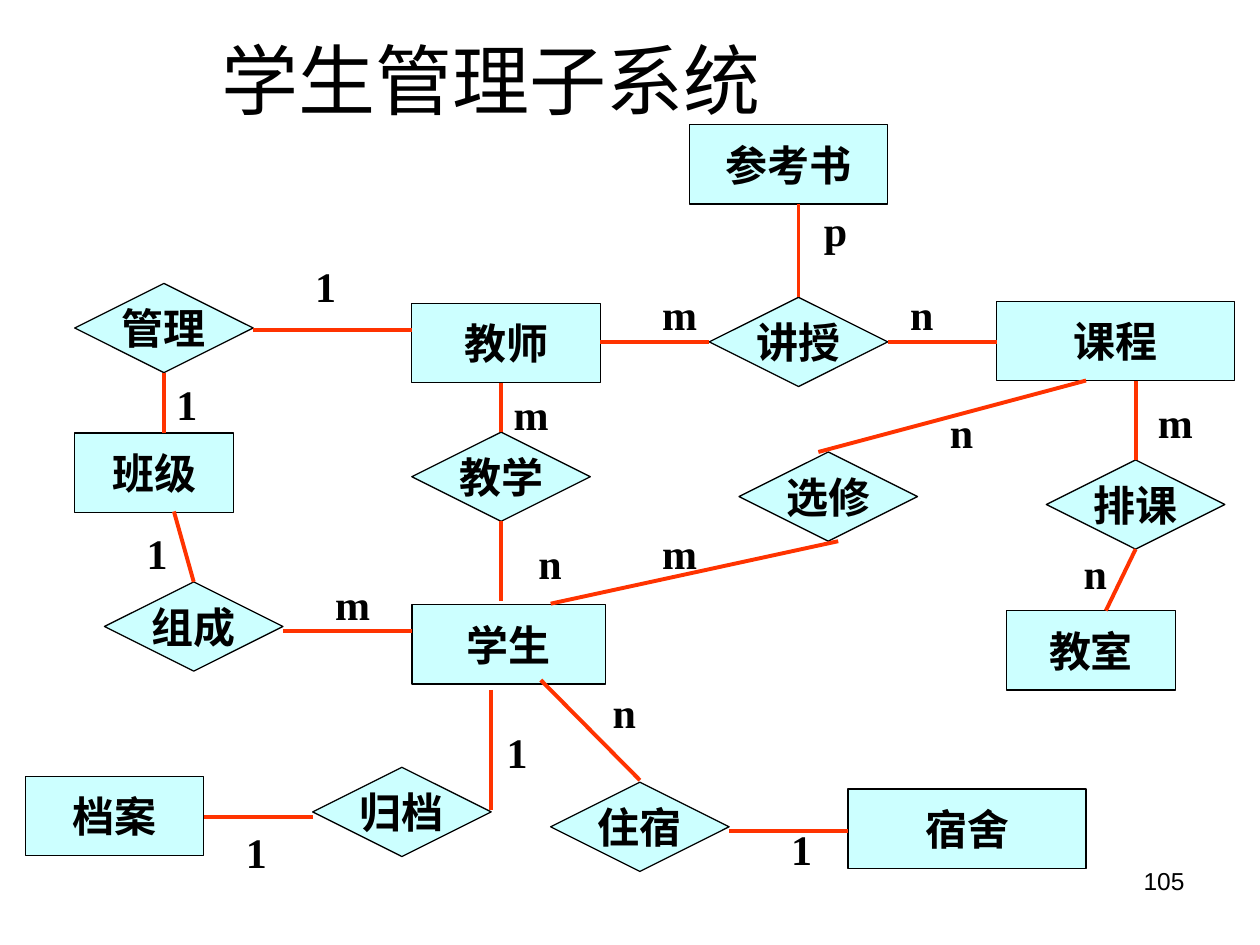
import pptx
import pptx.util
from pptx.dml.color import RGBColor
from pptx.enum.shapes import MSO_CONNECTOR, MSO_SHAPE
from pptx.enum.text import MSO_ANCHOR, MSO_AUTO_SIZE, PP_ALIGN
from pptx.oxml.ns import qn
from lxml import etree

BLACK = RGBColor(0x00, 0x00, 0x00)
PALE_CYAN = RGBColor(0xCC, 0xFF, 0xFF)
ORANGE_RED = RGBColor(0xFF, 0x33, 0x00)

WIDTH, HEIGHT = pptx.util.Inches(10), pptx.util.Inches(7.5)

# The diagram lies on a grid of square cells
COLUMNS, ROWS = 122, 75
ENTITY_ROWS = 8
RELATION_COLUMNS, RELATION_ROWS = 18, 9
LABEL_COLUMNS, LABEL_ROWS = 4, 6.35

# Name, column, row, columns wide
ENTITIES = [
    ("学生", 39, 48.4, 19.5),
    ("教师", 39, 18, 19),
    ("宿舍", 83, 67, 24),
    ("班级", 5, 31.1, 16),
    ("档案", 0, 65.7, 18),
    ("教室", 99, 49, 17),
    ("参考书", 67, 0, 20),
    ("课程", 98, 17.8, 24),
]

# Name, column, row
RELATIONS = [
    ("教学", 39, 31),
    ("组成", 8, 46.1),
    ("住宿", 53, 66.3),
    ("归档", 29, 64.8),
    ("讲授", 69, 17.4),
    ("选修", 72, 33),
    ("排课", 103, 33.8),
    ("管理", 5, 16),
]

# Start, end, cardinality, corner of the cardinality label
LINKS = [
    ((29, 69.8), (18, 69.8), "1", (21, 70.1)),
    ((47, 57), (47, 69.1), "1", (47.3, 60.1)),
    ((52, 56), (62, 66.1), "n", (58, 56)),
    ((71, 71.2), (83, 71.2), "1", (76, 69.8)),
    ((48, 26), (48, 31), "m", (48, 26)),
    ((48, 40), (48, 48), "n", (50.5, 41)),
    ((78, 8), (78, 17.4), "p", (79.3, 7.4)),
    ((58, 21.9), (69, 21.9), "m", (63, 15.9)),
    ((87, 21.9), (98, 21.9), "n", (88, 15.9)),
    ((107, 25.8), (80, 33), "n", (92, 27.8)),
    ((82, 42), (53, 48.3), "m", (63, 40)),
    ((112, 25.8), (112, 33.8), "m", (113, 26.8)),
    ((112, 42.8), (109, 49), "n", (105.5, 42)),
    ((15, 39), (17, 46.1), "1", (11, 40)),
    ((39, 51.1), (26, 51.1), "m", (30, 45.1)),
    ((39, 20.7), (23, 20.7), "1", (28, 13.1)),
    ((14, 25), (14, 31.1), "1", (14, 25)),
]


def share_box(left, top, width, height):
    """Turn shares of the slide's size into lengths."""
    return (round(left * WIDTH), round(top * HEIGHT),
            round(width * WIDTH), round(height * HEIGHT))


def write(holder, text, size=24, font="Times New Roman", bold=False,
          align=PP_ALIGN.CENTER, anchor=MSO_ANCHOR.TOP, wrap=True,
          fit=MSO_AUTO_SIZE.NONE):
    frame = holder.text_frame
    frame.word_wrap = wrap
    frame.auto_size = fit
    frame.vertical_anchor = anchor
    paragraph = frame.paragraphs[0]
    paragraph.alignment = align
    run = paragraph.add_run()
    run.text = text
    run.font.size = pptx.util.Pt(size)
    run.font.name = font
    run.font.bold = bold
    run.font.color.rgb = BLACK


def add_node(slide, kind, name, box):
    node = slide.shapes.add_shape(kind, *box)
    node.shadow.inherit = False
    node.fill.solid()
    node.fill.fore_color.rgb = PALE_CYAN
    node.line.color.rgb = BLACK
    node.line.width = pptx.util.Pt(0.75)
    write(node, name, bold=True, anchor=MSO_ANCHOR.MIDDLE, wrap=False)


def add_link(slide, start, end):
    link = slide.shapes.add_connector(MSO_CONNECTOR.STRAIGHT, *start, *end)
    link.line.color.rgb = ORANGE_RED
    link.line.width = pptx.util.Pt(2.25)
    properties = link.element.find(qn("p:spPr"))
    etree.SubElement(properties, qn("a:effectLst"))


def add_heading(slide, box):
    heading = slide.shapes.title
    heading.left, heading.top, heading.width, heading.height = box
    write(heading, "学生管理子系统", size=44, font="Arial",
          anchor=MSO_ANCHOR.MIDDLE)


def add_page_number(slide, box):
    write(slide.shapes.add_textbox(*box), "105", size=14, font="Arial",
          align=PP_ALIGN.RIGHT)


def add_diagram(slide, box):
    """Draw entities, relations and their labelled links inside the box."""
    left, top, width, height = box

    def point(column, row):
        return (round(left + column * width / COLUMNS),
                round(top + row * height / ROWS))

    def cells(column, row, columns, rows):
        return (*point(column, row),
                round(columns * width / COLUMNS), round(rows * height / ROWS))

    for name, column, row, columns in ENTITIES:
        add_node(slide, MSO_SHAPE.RECTANGLE, name,
                 cells(column, row, columns, ENTITY_ROWS))
    for name, column, row in RELATIONS:
        add_node(slide, MSO_SHAPE.FLOWCHART_DECISION, name,
                 cells(column, row, RELATION_COLUMNS, RELATION_ROWS))
    for start, end, cardinality, corner in LINKS:
        add_link(slide, point(*start), point(*end))
        label = slide.shapes.add_textbox(
            *cells(*corner, LABEL_COLUMNS, LABEL_ROWS))
        write(label, cardinality, bold=True,
              fit=MSO_AUTO_SIZE.SHAPE_TO_FIT_TEXT)


def main():
    deck = pptx.Presentation()
    deck.slide_width, deck.slide_height = WIDTH, HEIGHT
    slide = deck.slides.add_slide(deck.slide_layouts[5])
    add_page_number(slide, share_box(0.717, 0.91, 0.233, 0.07))
    add_heading(slide, share_box(-0.035, 0, 0.85, 0.167))
    add_diagram(slide, share_box(0.02, 0.132, 0.96, 0.787))
    deck.save("out.pptx")


if __name__ == "__main__":
    main()
